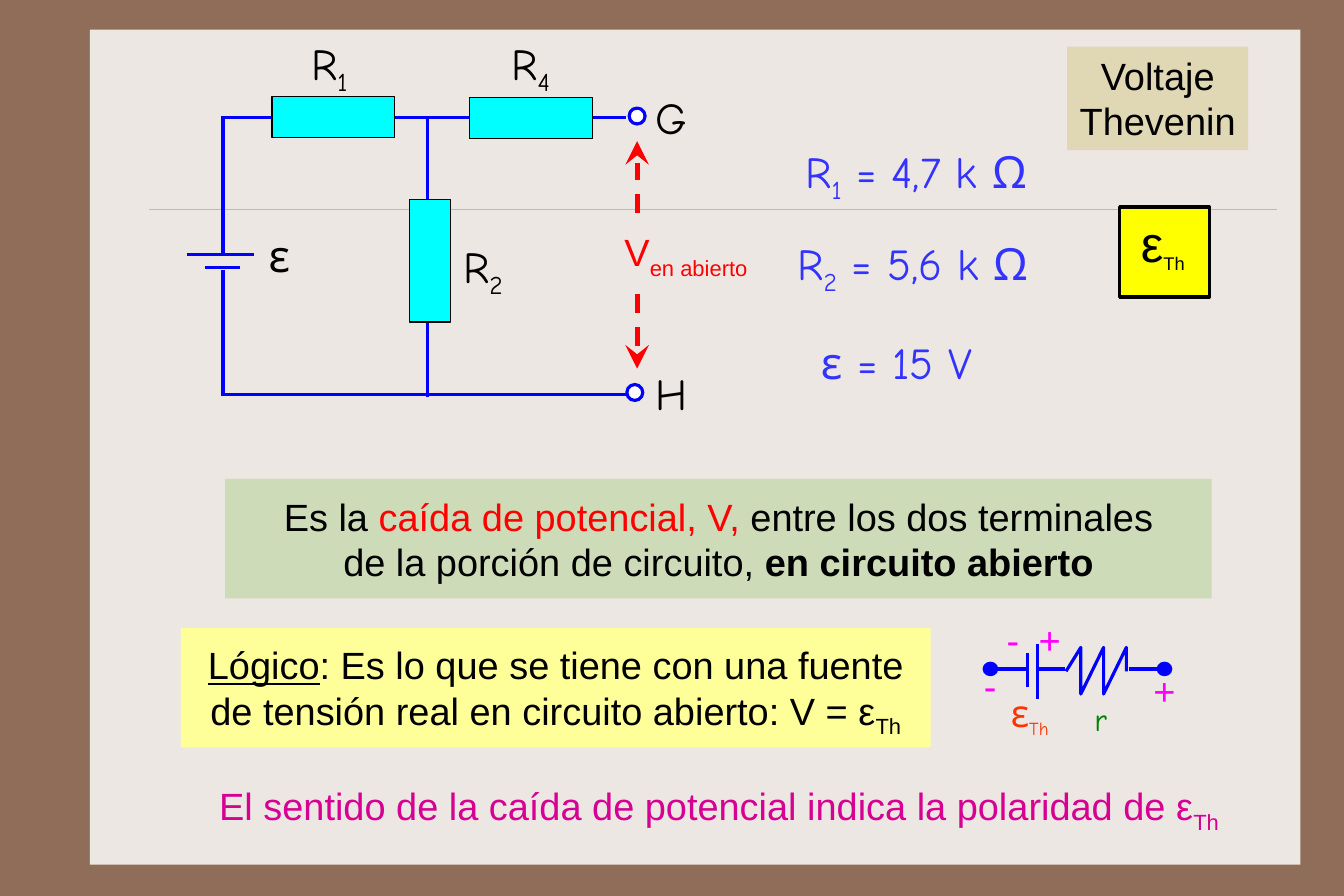
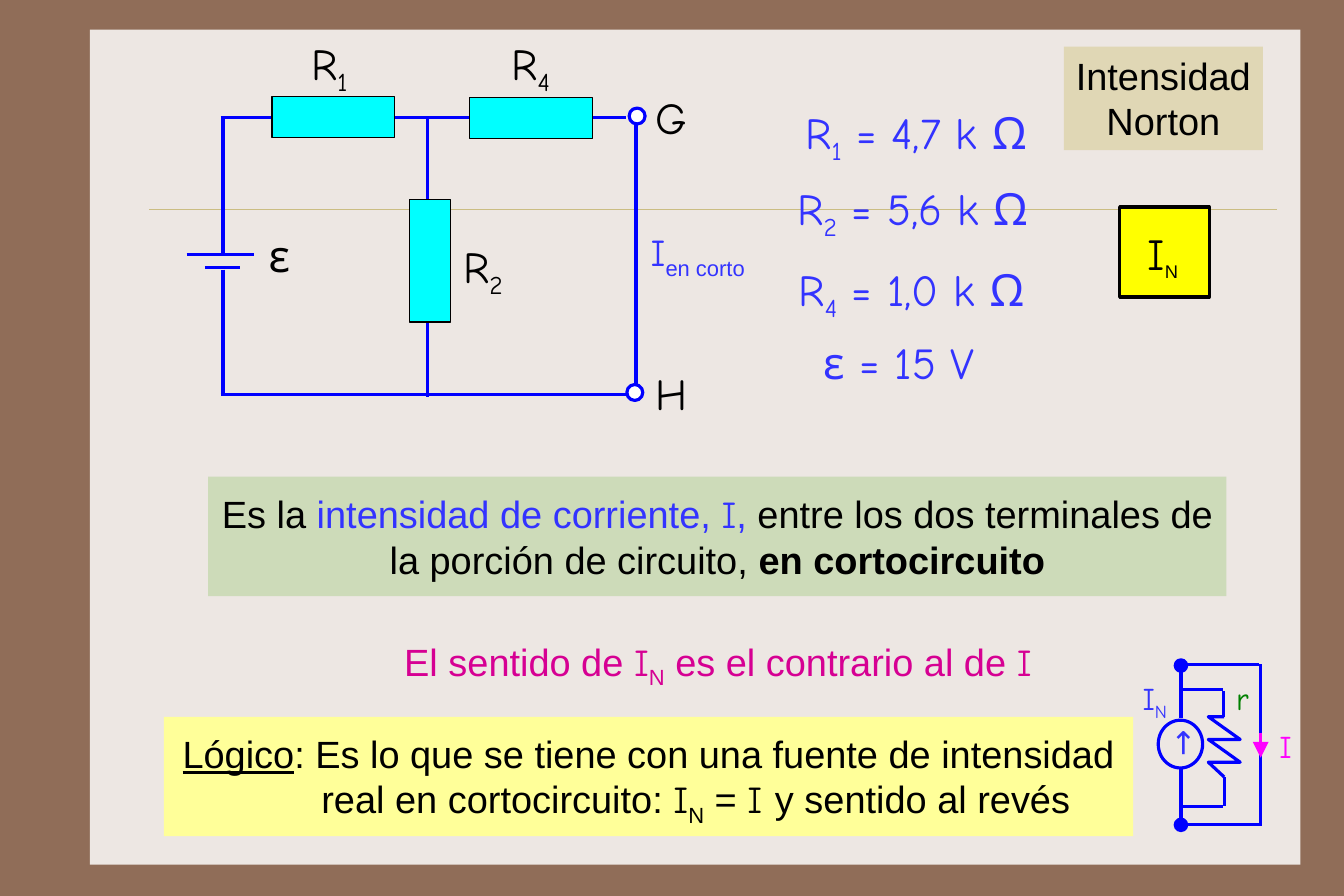
from lxml import etree
from pptx import Presentation
from pptx.dml.color import RGBColor
from pptx.enum.dml import MSO_LINE
from pptx.enum.shapes import MSO_CONNECTOR, MSO_SHAPE
from pptx.enum.text import MSO_ANCHOR, PP_ALIGN
from pptx.oxml.ns import qn
from pptx.util import Pt

PX = 9144  # EMU per px, 100 px to the inch
WIDTH, HEIGHT = Pt(850.5), Pt(567)
RECT, OVAL = MSO_SHAPE.RECTANGLE, MSO_SHAPE.OVAL
STRAIGHT = MSO_CONNECTOR.STRAIGHT
DASH = MSO_LINE.DASH
LEFT, CENTER = PP_ALIGN.LEFT, PP_ALIGN.CENTER
TOP, MIDDLE = MSO_ANCHOR.TOP, MSO_ANCHOR.MIDDLE

ARIAL, COMIC = "Arial", "Comic Neue"
COLORS = {
    "border": "906D58", "panel": "EDE7E3", "rule": "CBBD83",
    "title": "E0D7B5", "definition": "CDDBB9", "reason": "FFFF99",
    "symbol": "FFFF00", "resistor": "00FFFF", "wire": "0000FF",
    "value": "3333FF", "remark": "D60093", "voltage": "FF0000",
    "sign": "FF00FF", "emf": "FF3300", "resistance": "008000",
    "black": "000000", "white": "FFFFFF",
}

# Text insets: horizontal, vertical
LABEL_INSET = (9, 5)
NOTE_INSET = (10, 9)
SMALL_INSET = (8, 4)
TITLE_INSET = (10, 5)
DEFINITION_INSET = (12, 12)
REASON_INSET = (16, 12)


def rgb(color):
    return RGBColor.from_string(COLORS[color])


def sub(text, **style):
    return text, {"sub": True, **style}


def comic(text):
    return text, {"name": COMIC}


def style_font(font, name=None, size=None, color=None, bold=None, underline=None):
    if name:
        font.name = name
    if size:
        font.size = Pt(size)
    if color:
        font.color.rgb = rgb(color)
    if bold:
        font.bold = True
    if underline:
        font.underline = True


def write(box, paragraphs, name=ARIAL, size=24, color="black", align=CENTER,
          inset=NOTE_INSET, anchor=TOP, wrap=True):
    """Fill a box; each paragraph is a list of strings or (text, style) spans."""
    frame = box.text_frame
    frame.word_wrap = wrap
    frame.vertical_anchor = anchor
    frame.margin_left = frame.margin_right = inset[0] * PX
    frame.margin_top = frame.margin_bottom = inset[1] * PX
    for index, spans in enumerate(paragraphs):
        para = frame.add_paragraph() if index else frame.paragraphs[0]
        para.alignment = align
        style_font(para.font, name, size, color)
        for item in spans:
            text, style = (item, {}) if isinstance(item, str) else item
            span = para.add_run()
            span.text = text
            style_font(span.font, **{k: v for k, v in style.items() if k != "sub"})
            if style.get("sub"):
                span._r.get_or_add_rPr().set("baseline", "-25000")


def add_text(page, at, *spans, **options):
    box = page.shapes.add_textbox(*(length * PX for length in at))
    write(box, [spans], **options)
    return box


def paint(shape, fill=None, line=None, weight=2):
    shape.shadow.inherit = False
    if fill:
        shape.fill.solid()
        shape.fill.fore_color.rgb = rgb(fill)
    else:
        shape.fill.background()
    if line:
        shape.line.color.rgb = rgb(line)
        shape.line.width = Pt(weight)
    else:
        shape.line.fill.background()


def add_shape(page, kind, at, fill=None, line=None, weight=2):
    shape = page.shapes.add_shape(kind, *(length * PX for length in at))
    paint(shape, fill, line, weight)
    return shape


def add_line(page, x1, y1, x2, y2, color="wire", weight=2, dash=None,
             head=None, tail=None):
    line = page.shapes.add_connector(STRAIGHT, x1 * PX, y1 * PX, x2 * PX, y2 * PX)
    line.line.color.rgb = rgb(color)
    line.line.width = Pt(weight)
    if dash:
        line.line.dash_style = dash
    for tag, arrow in (("a:headEnd", head), ("a:tailEnd", tail)):
        if arrow:
            etree.SubElement(line.line._get_or_add_ln(), qn(tag),
                             type=arrow, w="lg", len="lg")
    etree.SubElement(line._element.spPr, qn("a:effectLst"))
    return line


def add_wires(page, *wires):
    for wire in wires:
        add_line(page, *wire)


def add_zigzag(page, points):
    builder = page.shapes.build_freeform(*points[0], scale=PX)
    builder.add_line_segments(points[1:], close=False)
    paint(builder.convert_to_shape(), line="wire")


def add_page(deck):
    return deck.slides.add_slide(deck.slide_layouts[6])


def dress_master(deck, page):
    """Draw the shared background, using a page to make the master's shapes."""
    master = deck.slide_master
    master.background.fill.solid()
    master.background.fill.fore_color.rgb = rgb("border")
    shared = (add_shape(page, RECT, (79, 26, 1064, 734), "panel"),
              add_line(page, 131, 184, 1122, 184, "rule", 0.25))
    for number, shape in enumerate(shared, 101):
        shape._element.xpath(".//p:cNvPr")[0].set("id", str(number))
        master.shapes._spTree.append(shape._element)


def add_circuit(page):
    add_wires(page, (194, 347, 560, 347), (194, 103, 550, 103), (376, 102, 376, 349),
              (196, 102, 196, 225), (196, 237, 196, 345),
              (164, 224, 223, 224), (180, 235, 211, 235))
    for at in ((239, 85, 108, 36), (413, 86, 108, 36), (360, 175, 36, 108)):
        add_shape(page, RECT, at, "resistor", "black", 0.75)
    for left, top in ((553, 95), (551, 338)):
        add_shape(page, OVAL, (left, top, 14, 14), "white", "wire")
    for left, top, number in ((238, 27, "1"), (415, 27, "4"), (373, 205, "2")):
        add_text(page, (left, top, 103, 64), "R", sub(number),
                 name=COMIC, size=28, inset=LABEL_INSET)
    add_text(page, (194, 196, 103, 64), "ε", name=COMIC, size=28, inset=LABEL_INSET)
    for top, terminal in ((74, "G"), (317, "H")):
        add_text(page, (567, top, 57, 53), terminal, name=COMIC, size=28,
                 align=LEFT, inset=LABEL_INSET)


def add_values(page, *values):
    """Each value is left, top and the spans of its equation."""
    for left, top, *spans in values:
        add_text(page, (left, top, 266, 64), *spans, name=COMIC, size=28,
                 color="value", inset=LABEL_INSET)


def add_title(page, left, width, text):
    box = add_shape(page, RECT, (left, 41, width, 91), "title")
    write(box, [[text]], inset=TITLE_INSET)


def add_symbol(page, top, *spans, **style):
    add_shape(page, RECT, (984, 182, 79, 79), "symbol", "black")
    add_text(page, (984, top, 76, 65), *spans, **style)


def add_definition(page, at, *paragraphs):
    box = add_shape(page, RECT, at, "definition")
    write(box, paragraphs, inset=DEFINITION_INSET, anchor=MIDDLE)


def add_reason(page, at, *paragraphs):
    box = add_shape(page, RECT, at, "reason")
    write(box, paragraphs, inset=REASON_INSET)
    return box


def add_small_label(page, left, top, width, *spans, **style):
    add_text(page, (left, top, width, 42), *spans, inset=SMALL_INSET, wrap=False,
             **{"name": COMIC, "size": 20, **style})


def add_voltage_source(page):
    add_small_label(page, 879, 602, 52, "ε", sub("Th", size=20), size=24, color="emf")
    add_small_label(page, 947, 611, 41, "r", color="resistance")
    add_wires(page, (912, 566, 912, 614), (903, 574, 903, 604), (911, 588, 936, 588),
              (902, 588, 877, 588), (992, 588, 1017, 588))
    add_zigzag(page, [(937, 590), (950, 569), (950, 610), (970, 569), (970, 610),
                      (990, 569), (990, 590)])
    for left in (865, 1018):
        add_shape(page, OVAL, (left, 583, 11, 10), "wire", "wire")
    for left, top, width, sign in ((1004, 578, 40, "+"), (855, 573, 31, "-"),
                                   (903, 533, 40, "+"), (875, 533, 31, "-")):
        add_text(page, (left, top, width, 59), sign, color="sign", align=LEFT, wrap=False)


def add_current_source(page):
    add_small_label(page, 1070, 593, 44, "r", color="resistance")
    add_small_label(page, 992, 593, 46, "I", sub("N"), color="value")
    add_wires(page, (1076, 708, 1076, 683), (1075, 709, 1038, 709),
              (1075, 630, 1075, 607), (1075, 606, 1038, 606),
              (1038, 631, 1038, 586), (1038, 676, 1038, 726),
              (1107, 584, 1042, 584), (1108, 725, 1043, 725), (1108, 726, 1108, 584))
    add_zigzag(page, [(1076, 683), (1062, 670), (1090, 670), (1062, 650), (1090, 650),
                      (1062, 630), (1076, 630)])
    for top in (580, 720):
        add_shape(page, OVAL, (1033, top, 10, 10), "wire", "wire")
    add_shape(page, OVAL, (1018, 633, 39, 42), line="wire")
    arrow = add_text(page, (1017, 634, 39, 39), "→", name=COMIC, size=20, color="value",
                     align=LEFT, inset=SMALL_INSET, wrap=False)
    arrow.rotation = 270
    add_small_label(page, 1107, 635, 46, "I", color="sign")
    add_line(page, 1108, 644, 1108, 666, "sign", tail="triangle")


def build_thevenin(page):
    add_line(page, 560, 324, 560, 124, "voltage", 3, DASH, "stealth", "stealth")
    gap = add_shape(page, RECT, (539, 192, 141, 58), "panel")
    write(gap, [["V", sub("en abierto")]], color="voltage", align=LEFT, wrap=False)
    add_circuit(page)
    add_values(page, (672, 122, "R", sub("1"), " = 4,7 k Ω"),
               (669, 203, "R", sub("2"), " = 5,6 k Ω"),
               (655, 290, "ε = 15 V"))
    add_title(page, 938, 159, "Voltaje Thevenin")
    add_symbol(page, 177, "ε", sub("Th", size=20), size=32)
    add_definition(page, (198, 421, 867, 105),
                   ["Es la ", ("caída de potencial, V,", {"color": "voltage"}),
                    " entre los dos terminales"],
                   ["de la porción de circuito, ", ("en circuito abierto", {"bold": True})])
    add_reason(page, (159, 552, 659, 105),
               [("Lógico", {"underline": True}),
                ": Es lo que se tiene con una fuente de tensión real "
                "en circuito abierto: V = ε", sub("Th")])
    add_text(page, (170, 679, 924, 59),
             "El sentido de la caída de potencial indica la polaridad de ε", sub("Th"),
             color="remark")
    add_voltage_source(page)


def build_norton(page):
    add_line(page, 559, 104, 559, 338)
    add_text(page, (562, 192, 119, 59), comic("I"), sub("en corto"),
             color="value", align=LEFT, wrap=False)
    add_circuit(page)
    add_values(page, (672, 88, "R", sub("1"), " = 4,7 k Ω"),
               (669, 154, "R", sub("2"), " = 5,6 k Ω"),
               (668, 226, "R", sub("4"), " = 1,0 k Ω"),
               (657, 290, "ε = 15 V"))
    add_title(page, 935, 175, "Intensidad Norton")
    add_symbol(page, 190, "I", sub("N", name=ARIAL, size=20), name=COMIC, size=28)
    add_definition(page, (183, 419, 895, 105),
                   ["Es la ", ("intensidad de corriente, ", {"color": "value"}),
                    ("I", {"name": COMIC, "color": "value"}), (",", {"color": "value"}),
                    " entre los dos terminales de la porción de circuito, ",
                    ("en cortocircuito", {"bold": True})])
    add_text(page, (290, 552, 682, 59), "El sentido de ", comic("I"), sub("N"),
             " es el contrario al de ", comic("I"), color="remark")
    reason = add_reason(page, (144, 630, 852, 105),
                        [("Lógico", {"underline": True}),
                         ": Es lo que se tiene con una fuente de intensidad"],
                        ["real en cortocircuito: ", comic("I"), sub("N"), " = ",
                         comic("I "), "y sentido al revés"])
    second_line = reason.text_frame.paragraphs[1]
    second_line._p.get_or_add_pPr().set("marL", str(83 * PX))
    add_current_source(page)


def main():
    deck = Presentation()
    deck.slide_width, deck.slide_height = WIDTH, HEIGHT
    thevenin, norton = add_page(deck), add_page(deck)
    dress_master(deck, thevenin)
    build_thevenin(thevenin)
    build_norton(norton)
    deck.save("out.pptx")


if __name__ == "__main__":
    main()
